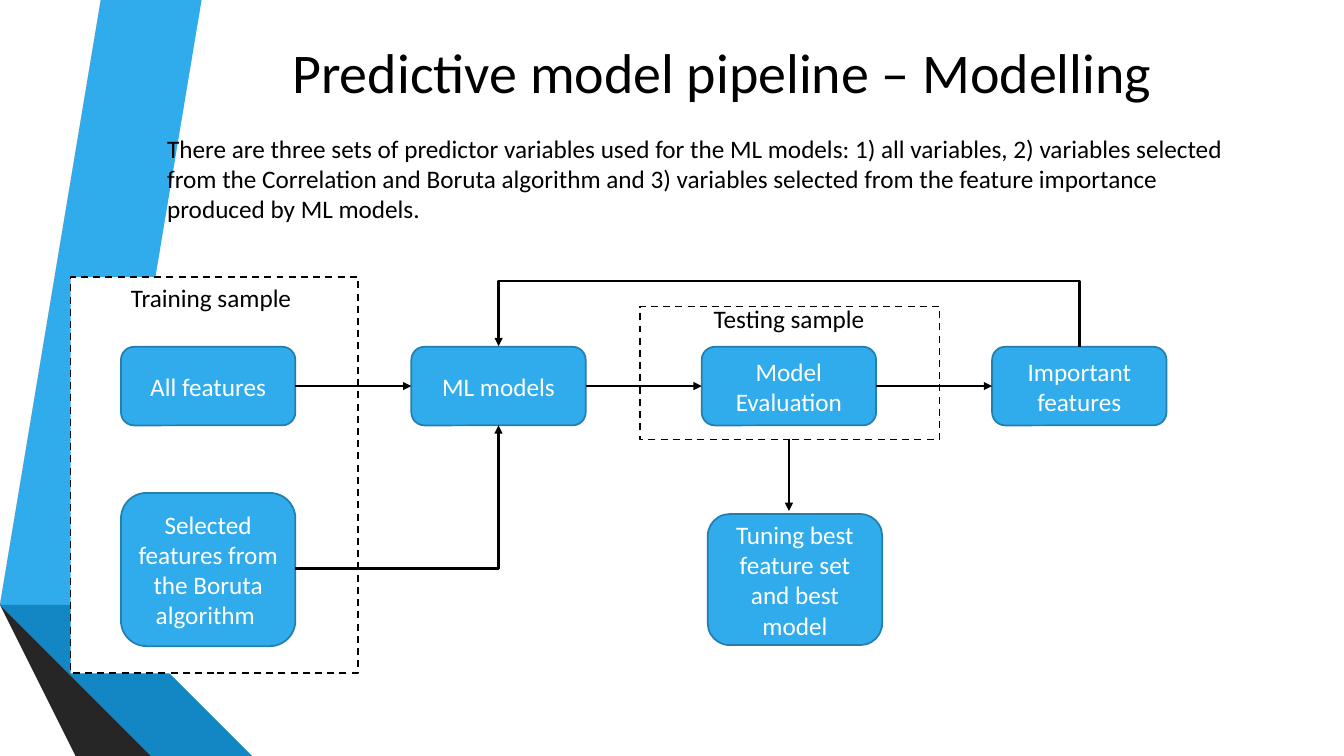
from lxml import etree
from pptx import Presentation
from pptx import util as u
from pptx.dml.color import RGBColor
from pptx.enum import dml, shapes, text
from pptx.oxml import ns

FONT = "Calibri"
BLACK, WHITE, BLUE, EDGE = "000000", "FFFFFF", "30ACEC", "247FAF"

RIBBONS = [
    ("30ACEC", [(0.5, 5.78), (0.77, 5.83), (1.73, 0), (1.45, 0)]),
    ("595959", [(1.39, 0), (1.11, 0), (0.16, 5.73), (0.44, 5.77)]),
    ("262626", [(0.16, 5.73), (1.45, 7.5), (1.51, 7.5)]),
    ("0C5A82", [(0.5, 5.79), (2.08, 7.5), (2.14, 7.5)]),
    ("1287C3", [(0.5, 5.79), (2.14, 7.5), (2.83, 7.5), (0.77, 5.83), (0.5, 5.78)]),
    ("404040", [(2.02, 7.5), (0.48, 5.83), (0.43, 5.77), (0.16, 5.73), (1.51, 7.5)]),
]
STEPS = ["All features", "ML models", "Model Evaluation", "Important features"]
STEP_LEFT, STEP_TOP, STEP_WIDTH, STEP_HEIGHT, STEP_PITCH = 1.2, 3.44, 1.73, 0.78, 2.88
INTRO = (
    "There are three sets of predictor variables used for the ML models: "
    "1) all variables, 2) variables selected from the Correlation and Boruta algorithm "
    "and 3) variables selected from the feature importance produced by ML models."
)


def colour(value):
    return RGBColor.from_string(value)


def inches(*lengths):
    return [u.Inches(length) for length in lengths]


def write(shape, words, size, ink, align, anchor):
    frame = shape.text_frame
    frame.word_wrap = True
    frame.vertical_anchor = anchor
    frame.text = words
    para = frame.paragraphs[0]
    para.alignment = align
    for span in para.runs:
        span.font.name = FONT
        span.font.size = u.Pt(size)
        span.font.color.rgb = colour(ink)


def paint(shape, fill, line=None):
    """Give the shape a flat fill and, if a colour is named, an outline."""
    shape.shadow.inherit = False
    shape.fill.solid()
    shape.fill.fore_color.rgb = colour(fill)
    if line:
        shape.line.color.rgb = colour(line)
        shape.line.width = u.Pt(1.25)
    else:
        shape.line.fill.background()


def add_ribbons(page):
    for fill, points in RIBBONS:
        builder = page.shapes.build_freeform(*points[0], scale=u.Inches(1))
        builder.add_line_segments(points[1:], close=True)
        paint(builder.convert_to_shape(), fill)


def add_title(page, box, words):
    title = page.shapes.title
    title.left, title.top, title.width, title.height = inches(*box)
    write(title, words, 40, BLACK, text.PP_ALIGN.CENTER, text.MSO_ANCHOR.MIDDLE)


def add_label(page, box, words):
    label = page.shapes.add_textbox(*inches(*box))
    write(label, words, 18, BLACK, text.PP_ALIGN.LEFT, text.MSO_ANCHOR.TOP)


def add_sample_frame(page, box):
    frame = page.shapes.add_shape(shapes.MSO_SHAPE.RECTANGLE, *inches(*box))
    paint(frame, WHITE, BLACK)
    frame.line.dash_style = dml.MSO_LINE.DASH


def add_step(page, box, words):
    step = page.shapes.add_shape(shapes.MSO_SHAPE.ROUNDED_RECTANGLE, *inches(*box))
    paint(step, BLUE, EDGE)
    write(step, words, 18, WHITE, text.PP_ALIGN.CENTER, text.MSO_ANCHOR.MIDDLE)


def add_arrow(page, start, end, kind=shapes.MSO_CONNECTOR.STRAIGHT):
    arrow = page.shapes.add_connector(kind, *inches(*start, *end))
    arrow.line.color.rgb = colour(BLACK)
    arrow.line.width = u.Pt(1.75)
    etree.SubElement(arrow.line._get_or_add_ln(), ns.qn("a:tailEnd"), type="triangle")
    etree.SubElement(arrow._element.spPr, ns.qn("a:effectLst"))
    return arrow


def add_corner_arrow(page, start, end):
    """Run across from start, then turn once towards end."""
    arrow = add_arrow(page, start, end, shapes.MSO_CONNECTOR.ELBOW)
    arrow._element.spPr.find(ns.qn("a:prstGeom")).set("prst", "bentConnector2")


def add_loop_arrow(page, right, left, y, rise):
    """Go up from the right point, across, and down to the left point."""
    middle, reach, thin = (left + right) / 2, (right - left) / 2, 0.01
    start = (middle - thin / 2, y + reach)
    end = (middle + thin / 2, y - reach)
    arrow = add_arrow(page, start, end, shapes.MSO_CONNECTOR.ELBOW)
    properties = arrow._element.spPr
    properties.find(ns.qn("a:xfrm")).set("rot", "16200000")
    guides = properties.find(ns.qn("a:prstGeom")).get_or_add_avLst()
    bend = round(rise / thin * 100000)
    etree.SubElement(guides, ns.qn("a:gd"), name="adj1", fmla=f"val {bend}")


def add_pipeline(page):
    add_sample_frame(page, (6.35, 3.04, 2.97, 1.32))
    add_sample_frame(page, (0.7, 2.75, 2.85, 3.93))
    lefts = [STEP_LEFT + STEP_PITCH * i for i in range(len(STEPS))]
    centres = [left + STEP_WIDTH / 2 for left in lefts]
    middle = STEP_TOP + STEP_HEIGHT / 2
    for left, words in zip(lefts, STEPS):
        add_step(page, (left, STEP_TOP, STEP_WIDTH, STEP_HEIGHT), words)
    for left, following in zip(lefts, lefts[1:]):
        add_arrow(page, (left + STEP_WIDTH, middle), (following, middle))

    add_step(page, (STEP_LEFT, 4.89, STEP_WIDTH, 1.52),
             "Selected features from the Boruta algorithm ")
    add_step(page, (7.02, 5.1, STEP_WIDTH, 1.3),
             "Tuning best feature set and best model")
    add_corner_arrow(page, (STEP_LEFT + STEP_WIDTH, 5.64),
                     (centres[1], STEP_TOP + STEP_HEIGHT))
    add_loop_arrow(page, centres[3], centres[1], STEP_TOP, 0.67)
    add_arrow(page, (centres[2], 4.36), (centres[2], 5.07))
    add_label(page, (1.2, 2.75, 2.15, 0.4), "Training sample")
    add_label(page, (6.98, 2.96, 2.15, 0.4), "Testing sample")


def main():
    deck = Presentation()
    deck.slide_width, deck.slide_height = inches(13.33, 7.5)
    page = deck.slides.add_slide(deck.slide_layouts[5])
    add_ribbons(page)
    add_title(page, (1.68, 0.09, 10.96, 1.23), "Predictive model pipeline – Modelling")
    add_pipeline(page)
    add_label(page, (1.56, 1.27, 10.84, 1.01), INTRO)
    deck.save("out.pptx")


if __name__ == "__main__":
    main()
